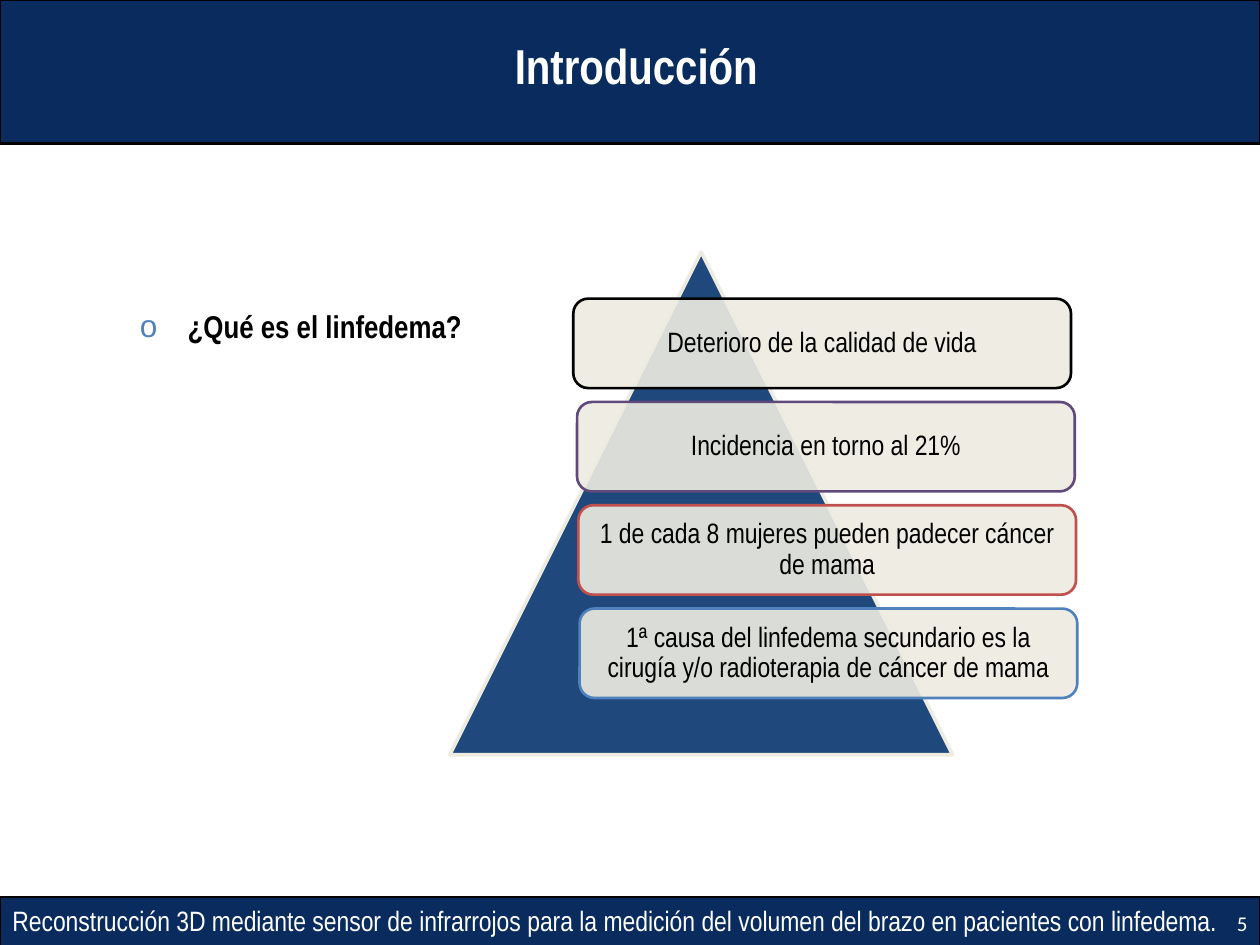
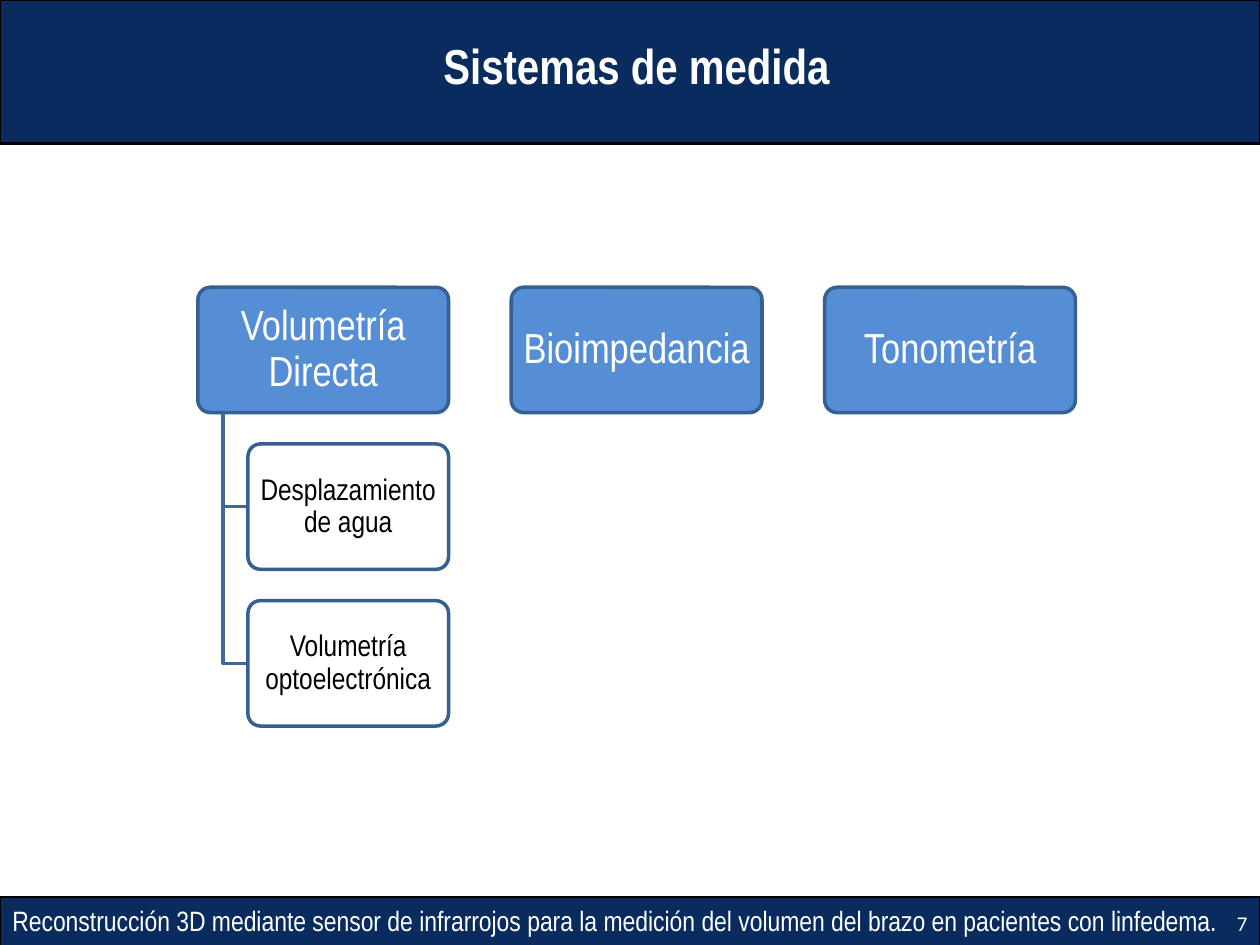
"""Build two slides on lymphedema: an introduction pyramid and a tree of measuring systems."""
import pptx
import pptx.util
import pptx.dml.color
import pptx.enum.shapes
import pptx.enum.text
import pptx.oxml
import pptx.oxml.ns
import lxml.etree

Inches = pptx.util.Inches
Pt = pptx.util.Pt
RGBColor = pptx.dml.color.RGBColor
Shape = pptx.enum.shapes.MSO_SHAPE
Align = pptx.enum.text.PP_ALIGN
Anchor = pptx.enum.text.MSO_ANCHOR
qn = pptx.oxml.ns.qn

FOOTER = ("Reconstrucción 3D mediante sensor de infrarrojos para la medición "
          "del volumen del brazo en pacientes con linfedema.")
INTRODUCTION = {"title": "Introducción", "number": "5"}
QUESTION = "¿Qué es el linfedema?"
SYSTEMS = {"title": "Sistemas de medida", "number": "7"}

NAVY = RGBColor(0x09, 0x2B, 0x5E)
PYRAMID_BLUE = RGBColor(0x1F, 0x49, 0x7D)
CREAM = RGBColor(0xEE, 0xEC, 0xE1)
PURPLE = RGBColor(0x60, 0x4A, 0x7B)
RED = RGBColor(0xC0, 0x50, 0x4D)
ACCENT_BLUE = RGBColor(0x4F, 0x81, 0xBD)
NODE_BLUE = RGBColor(0x55, 0x8E, 0xD5)
NODE_BORDER = RGBColor(0x37, 0x60, 0x92)
BRANCH_BLUE = RGBColor(0x3F, 0x67, 0x97)
BLACK = RGBColor(0, 0, 0)
WHITE = RGBColor(0xFF, 0xFF, 0xFF)
FONT = "Arial Narrow"

FACTS = [
    ("Deterioro de la calidad de vida", 4.55, BLACK),
    ("Incidencia en torno al 21%", 4.58, PURPLE),
    ("1 de cada 8 mujeres pueden padecer cáncer de mama", 4.59, RED),
    ("1ª causa del linfedema secundario es la cirugía y/o radioterapia de cáncer de mama",
     4.6, ACCENT_BLUE),
]
FACT_TOP, FACT_PITCH = 2.37, 0.82

METHODS = [
    ("Volumetría Directa", ["Desplazamiento de agua", "Volumetría optoelectrónica"]),
    ("Bioimpedancia", []),
    ("Tonometría", []),
]
TREE_LEFT, TREE_TOP = 1.57, 2.28
NODE_WIDTH = 1.99
NODE_HEIGHT = NODE_WIDTH / 2
CHILD_WIDTH = NODE_WIDTH * 0.8
PITCH = 1.25


def place(shape, left, top, width, height):
    shape.left, shape.top = Inches(left), Inches(top)
    shape.width, shape.height = Inches(width), Inches(height)


def paint(shape, fill, line, line_width, opacity=None):
    shape.shadow.inherit = False
    if fill is None:
        shape.fill.background()
    else:
        shape.fill.solid()
        shape.fill.fore_color.rgb = fill
    if opacity:
        color = shape.element.spPr.find(qn("a:solidFill")).find(qn("a:srgbClr"))
        lxml.etree.SubElement(color, qn("a:alpha")).set("val", str(opacity * 1000))
    shape.line.color.rgb = line
    shape.line.width = Pt(line_width)


def add_box(slide, kind, box, *style):
    shape = slide.shapes.add_shape(kind, *map(Inches, box))
    paint(shape, *style)
    return shape


def write(shape, text, size, color, align=Align.CENTER, anchor=Anchor.MIDDLE,
          insets=(0.1, 0.05), spacing=1.0, bold=False, font=FONT):
    frame = shape.text_frame
    frame.word_wrap = True
    frame.auto_size = pptx.enum.text.MSO_AUTO_SIZE.NONE
    frame.vertical_anchor = anchor
    frame.margin_left = frame.margin_right = Inches(insets[0])
    frame.margin_top = frame.margin_bottom = Inches(insets[1])
    paragraph = frame.paragraphs[0]
    paragraph.alignment = align
    paragraph.line_spacing = spacing
    paragraph.space_before = Pt(0)
    run = paragraph.add_run()
    run.text = text
    run.font.name, run.font.size, run.font.bold = font, Pt(size), bold
    run.font.color.rgb = color
    return paragraph


def add_slide(presentation, layout, title, number):
    slide = presentation.slides.add_slide(presentation.slide_layouts[layout])
    add_box(slide, Shape.RECTANGLE, (0, 0, 10, 1.14), NAVY, BLACK, 1.5)
    footer = add_box(slide, Shape.RECTANGLE, (0, 7.12, 10, 0.4), NAVY, BLACK, 0.75)
    write(footer, FOOTER, 16, WHITE, Align.LEFT, Anchor.TOP)
    heading = slide.shapes.title
    place(heading, 3.4, 0.23, 3.3, 0.57)
    write(heading, title, 28, WHITE, anchor=Anchor.TOP, bold=True)
    heading.element.getparent().append(heading.element)
    number_box = slide.shapes.add_textbox(*map(Inches, (7.67, 7.13, 2.33, 0.4)))
    write(number_box, number, 12, WHITE, Align.RIGHT, font="Calibri")
    return slide


def add_bullet(paragraph):
    properties = paragraph._p.get_or_add_pPr()
    properties.set("marL", str(Inches(0.38)))
    properties.set("indent", str(-Inches(0.38)))
    color = lxml.etree.SubElement(properties, qn("a:buClr"))
    lxml.etree.SubElement(color, qn("a:srgbClr")).set("val", str(ACCENT_BLUE))
    lxml.etree.SubElement(properties, qn("a:buFont")).set("typeface", "Arial")
    lxml.etree.SubElement(properties, qn("a:buChar")).set("char", "o")


def build_introduction(presentation):
    slide = add_slide(presentation, 1, **INTRODUCTION)
    question = slide.placeholders[1]
    place(question, 1.01, 2.3, 2.9, 0.49)
    add_bullet(write(question, QUESTION, 18, BLACK, Align.JUSTIFY, Anchor.TOP,
                     spacing=1.3, bold=True))
    add_box(slide, Shape.ISOSCELES_TRIANGLE, (3.57, 2, 3.99, 3.99), PYRAMID_BLUE, CREAM, 2)
    for row, (text, left, border) in enumerate(FACTS):
        box = (left, FACT_TOP + row * FACT_PITCH, 3.95, 0.71)
        fact = add_box(slide, Shape.ROUNDED_RECTANGLE, box, CREAM, border, 1.5, 90)
        write(fact, text, 16, BLACK, insets=(0.07, 0.07), spacing=0.9)


def add_node(slide, text, box, fill, size, color, insets, opacity=None):
    node = add_box(slide, Shape.ROUNDED_RECTANGLE, box, fill, NODE_BORDER, 2, opacity)
    node.adjustments[0] = 0.1
    write(node, text, size, color, insets=insets, spacing=0.9)


def add_branch(slide, *points):
    start, *turns = [(Inches(x), Inches(y)) for x, y in points]
    builder = slide.shapes.build_freeform(*start)
    builder.add_line_segments(turns, close=False)
    paint(builder.convert_to_shape(), None, BRANCH_BLUE, 2)


def build_systems(presentation):
    slide = add_slide(presentation, 5, **SYSTEMS)
    for column, (method, variants) in enumerate(METHODS):
        left = TREE_LEFT + column * NODE_WIDTH * PITCH
        add_node(slide, method, (left, TREE_TOP, NODE_WIDTH, NODE_HEIGHT),
                 NODE_BLUE, 24, WHITE, (0.05, 0.03))
        child_left = left + NODE_WIDTH - CHILD_WIDTH
        trunk = (left + child_left) / 2
        for row, variant in enumerate(variants, 1):
            top = TREE_TOP + row * NODE_HEIGHT * PITCH
            middle = top + NODE_HEIGHT / 2
            add_branch(slide, (trunk, TREE_TOP + NODE_HEIGHT), (trunk, middle),
                       (child_left, middle))
            add_node(slide, variant, (child_left, top, CHILD_WIDTH, NODE_HEIGHT),
                     WHITE, 17, BLACK, (0.04, 0.02), 90)


def main():
    presentation = pptx.Presentation()
    presentation.slide_width, presentation.slide_height = Inches(10), Inches(7.5)
    build_introduction(presentation)
    build_systems(presentation)
    presentation.save("out.pptx")


if __name__ == "__main__":
    main()
